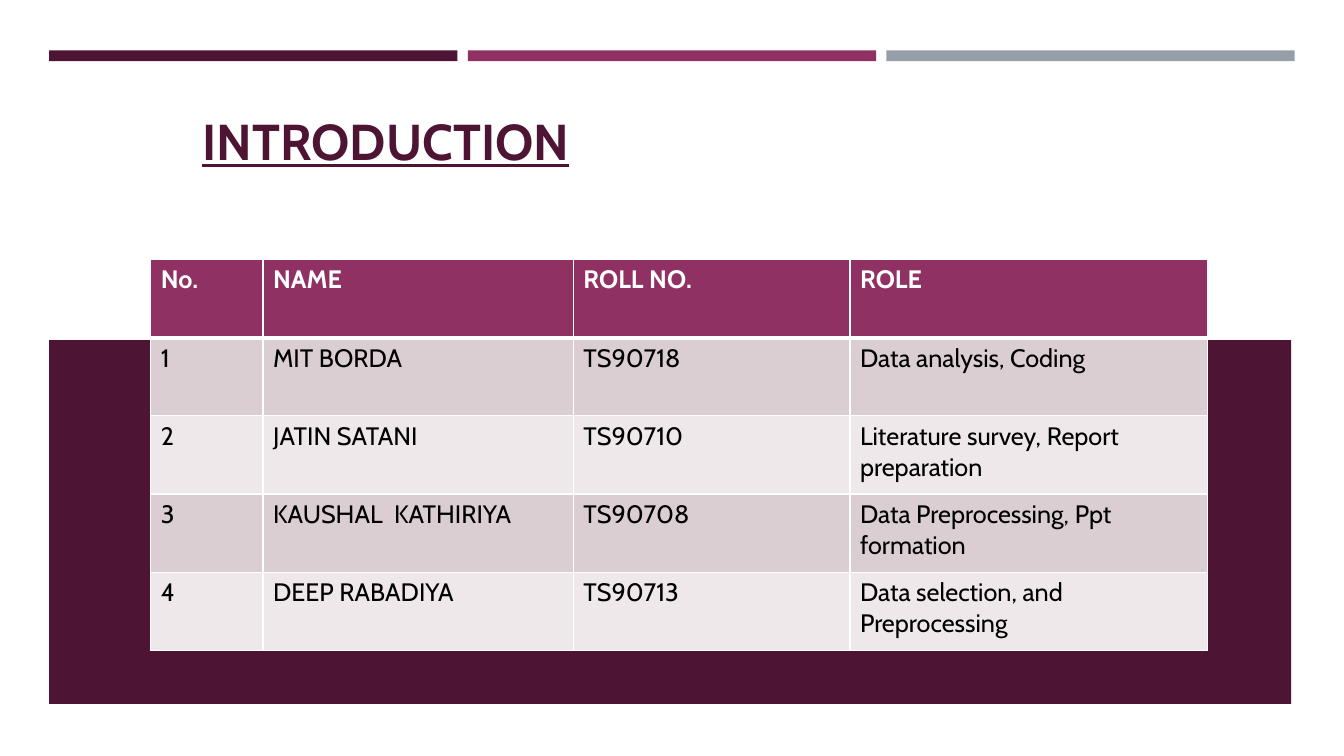
import pptx
import pptx.dml.color
import pptx.enum.shapes
import pptx.enum.text
import pptx.oxml
import pptx.oxml.ns
import pptx.util
from pptx.util import Cm

COLORS = {
    "plum": "4D1434",
    "magenta": "903163",
    "gray": "969FA7",
    "band_dark": "DBCED3",
    "band_light": "EEE8EA",
    "white": "FFFFFF",
    "black": "000000",
}

TEAM = [
    ("No.", "NAME", "ROLL NO.", "ROLE"),
    ("1", "MIT BORDA", "TS90718", "Data analysis, Coding"),
    ("2", "JATIN SATANI", "TS90710", "Literature survey, Report preparation"),
    ("3", "KAUSHAL  KATHIRIYA", "TS90708", "Data Preprocessing, Ppt formation"),
    ("4", "DEEP RABADIYA", "TS90713", "Data selection, and Preprocessing"),
]


class SlideBuilder:
    font_name = "Cabin"

    def __init__(self, slide):
        self.slide = slide

    def color(self, name):
        return pptx.dml.color.RGBColor.from_string(COLORS[name])

    def style(self, paragraph, size, color, bold=False, underline=False):
        font = paragraph.font
        font.name = self.font_name
        font.size = pptx.util.Pt(size)
        font.color.rgb = self.color(color)
        font.bold = bold
        font.underline = underline

    def rectangle(self, left, top, width, height, color):
        shape = self.slide.shapes.add_shape(
            pptx.enum.shapes.MSO_SHAPE.RECTANGLE,
            Cm(left), Cm(top), Cm(width), Cm(height))
        shape.shadow.inherit = False
        shape.fill.solid()
        shape.fill.fore_color.rgb = self.color(color)
        shape.line.fill.background()

    def title(self, text, left, top, width, height):
        box = self.slide.shapes.add_textbox(Cm(left), Cm(top), Cm(width), Cm(height))
        frame = box.text_frame
        frame.word_wrap = True
        frame.vertical_anchor = pptx.enum.text.MSO_ANCHOR.BOTTOM
        frame.text = text
        self.style(frame.paragraphs[0], 36, "plum", bold=True, underline=True)

    def border(self, cell, side, points):
        properties = cell._tc.get_or_add_tcPr()
        properties.append(pptx.oxml.parse_xml(
            f'<a:{side} {pptx.oxml.ns.nsdecls("a")} w="{pptx.util.Pt(points)}">'
            f'<a:solidFill><a:srgbClr val="{COLORS["white"]}"/></a:solidFill>'
            f'</a:{side}>'))

    def table(self, rows, left, top, column_widths, row_height):
        table = self.slide.shapes.add_table(
            len(rows), len(column_widths), Cm(left), Cm(top),
            Cm(sum(column_widths)), Cm(row_height * len(rows))).table
        for column, width in zip(table.columns, column_widths):
            column.width = Cm(width)
        for row_index, values in enumerate(rows):
            table.rows[row_index].height = Cm(row_height)
            header = row_index == 0
            fill = "magenta" if header else ("band_light", "band_dark")[row_index % 2]
            for column_index, text in enumerate(values):
                cell = table.cell(row_index, column_index)
                cell.text = text
                self.style(cell.text_frame.paragraphs[0], 18,
                           "white" if header else "black", bold=header)
                # The rule under the header is thicker than the others
                self.border(cell, "lnL", 1)
                self.border(cell, "lnR", 1)
                self.border(cell, "lnT", 3 if row_index == 1 else 1)
                self.border(cell, "lnB", 3 if header else 1)
                cell.fill.solid()
                cell.fill.fore_color.rgb = self.color(fill)


def main():
    presentation = pptx.Presentation()
    presentation.slide_width = Cm(33.87)
    presentation.slide_height = Cm(19.05)
    slide = presentation.slides.add_slide(presentation.slide_layouts[6])
    builder = SlideBuilder(slide)

    # Top bars and lower panel
    for index, color in enumerate(("plum", "magenta", "gray")):
        builder.rectangle(1.24 + index * 10.55, 1.27, 10.29, 0.27, color)
    builder.rectangle(1.24, 8.57, 31.3, 9.17, "plum")

    # Title
    builder.title("INTRODUCTION", 4.85, 1.7, 24.1, 2.72)

    # Team table
    builder.table(TEAM, 3.8, 6.54, (2.83, 7.82, 6.97, 9.02), 1.97)

    presentation.save("out.pptx")


if __name__ == "__main__":
    main()
